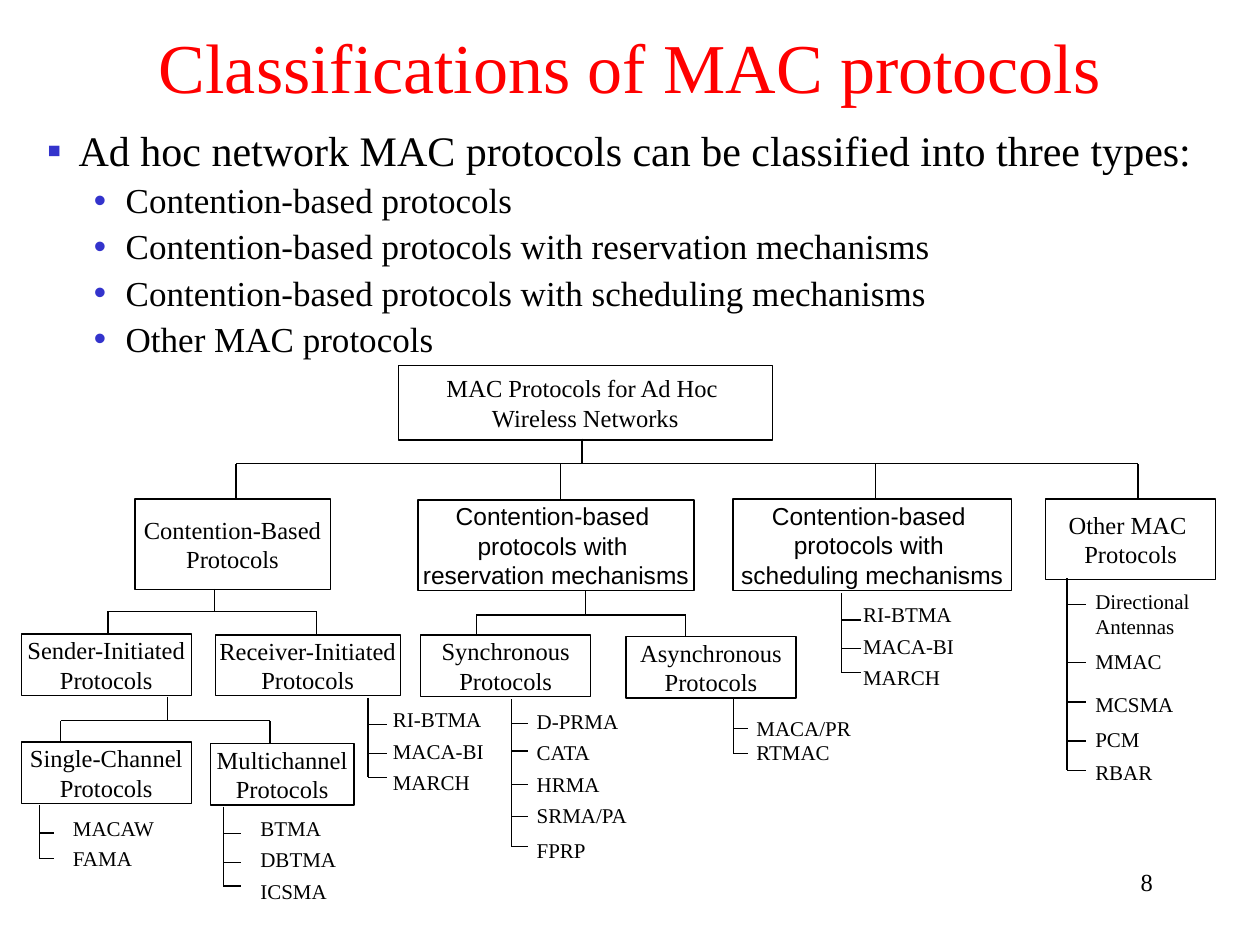
from lxml import etree
from pptx import Presentation
from pptx.dml.color import RGBColor
from pptx.enum import shapes, text
from pptx.oxml import ns
from pptx.util import Cm, Pt

HUES = {"ink": "000000", "title": "FF0000", "mark": "3333CC", "paper": "FFFFFF"}
SERIF, SANS = "Times New Roman", "Arial"
MID = text.PP_ALIGN.CENTER

POINTS = [
    "Contention-based protocols",
    "Contention-based protocols with reservation mechanisms",
    "Contention-based protocols with scheduling mechanisms",
    "Other MAC protocols",
]

BOXES = [
    (8.03, 7.37, 7.54, 1.5, ["MAC Protocols for Ad Hoc ", "Wireless Networks"], SERIF),
    (2.72, 10.06, 3.94, 1.83, ["Contention-Based", "Protocols"], SERIF),
    (8.43, 10.08, 5.56, 1.83,
     ["Contention-based ", "protocols with ", "reservation mechanisms"], SANS),
    (14.78, 10.06, 5.61, 1.85,
     ["Contention-based ", "protocols with ", "scheduling mechanisms"], SANS),
    (21.08, 10.06, 3.43, 1.63, ["Other MAC ", "Protocols"], SERIF),
    (0.43, 12.78, 3.43, 1.24, ["Sender-Initiated", "Protocols"], SERIF),
    (4.34, 12.8, 3.73, 1.22, ["Receiver-Initiated", "Protocols"], SERIF),
    (8.48, 12.8, 3.43, 1.24, ["Synchronous", "Protocols"], SERIF),
    (12.62, 12.83, 3.43, 1.24, ["Asynchronous", "Protocols"], SERIF),
    (0.43, 14.96, 3.43, 1.24, ["Single-Channel", "Protocols"], SERIF),
    (4.24, 14.99, 2.9, 1.24, ["Multichannel", "Protocols"], SERIF),
]

FORKS = [
    (11.73, 8.84, 9.35, [4.76, 11.3, 17.65, 22.94], 10.06),
    (4.32, 11.87, 12.32, [2.18, 6.38], 12.79),
    (11.81, 11.91, 12.4, [9.6, 13.82], 12.83),
    (3.38, 14.05, 14.53, [1.22, 5.44], 14.97),
]

TRIO = [0.54, 1.12, 1.6], [0.05, 0.69, 1.32]
RAKES = [
    (0.79, 16.23, 0.3, 1.22, ["MACAW", "FAMA"], [0.56, 1.07], [0.08, 0.69]),
    (4.5, 16.26, 0.36, 5, ["BTMA", "DBTMA", "ICSMA"], *TRIO),
    (7.42, 14.07, 0.38, 7.67, ["RI-BTMA", "MACA-BI", "MARCH"], *TRIO),
    (16.97, 11.96, 0.38, 17.15, ["RI-BTMA", "MACA-BI", "MARCH"], *TRIO),
    (14.78, 14.1, 0.3, 15, ["MACA/PR", "RTMAC"], [0.58, 1.09], [0.2, 0.68]),
    (10.31, 14.1, 0.33, 10.57, ["D-PRMA", "CATA", "HRMA", "SRMA/PA", "FPRP"],
     [0.48, 1.04, 1.72, 2.36, 2.97], [0.05, 0.68, 1.32, 1.95, 2.66]),
    (21.51, 11.66, 0.39, 21.83,
     ["Directional\nAntennas", "MMAC", "MCSMA", "PCM", "RBAR"],
     [0.53, 1.7, 2.49, 3.28, 3.87], [0.07, 1.29, 2.16, 2.87, 3.53]),
]


def tint(name):
    """Return a named colour."""
    return RGBColor.from_string(HUES[name])


def place(shape, left, top, wide, high):
    """Move and size a shape in centimetres."""
    shape.left, shape.top = Cm(left), Cm(top)
    shape.width, shape.height = Cm(wide), Cm(high)


def write(para, words, size, font=SERIF, hue="ink"):
    """Add words to a paragraph, one run per line."""
    for i, line in enumerate(words.split("\n")):
        if i:
            para.add_line_break()
        run = para.add_run()
        run.text = line
        run.font.size, run.font.name = Pt(size), font
        run.font.color.rgb = tint(hue)


def bullet(para, sign, left):
    """Give a paragraph a coloured bullet, hanging indent and spacing."""
    para.line_spacing, para.space_before = 0.9, Pt(4.8)
    props = para._p.get_or_add_pPr()
    props.set("marL", str(Cm(left)))
    props.set("indent", str(-Cm(0.64)))
    hue = etree.SubElement(props, ns.qn("a:buClr"))
    etree.SubElement(hue, ns.qn("a:srgbClr"), val=HUES["mark"])
    etree.SubElement(props, ns.qn("a:buFont"), typeface=SANS)
    etree.SubElement(props, ns.qn("a:buChar"), char=sign)


def head(slide):
    """Fill the title and the list."""
    title, body = slide.placeholders
    place(title, 0, 0.56, 25.4, 1.52)
    frame = title.text_frame
    frame.auto_size = text.MSO_AUTO_SIZE.NONE
    frame.vertical_anchor = text.MSO_ANCHOR.MIDDLE
    frame.paragraphs[0].alignment = MID
    write(frame.paragraphs[0], "Classifications of MAC protocols", 40, hue="title")
    place(body, 0.69, 2.49, 24.05, 4.98)
    frame = body.text_frame
    frame.auto_size = text.MSO_AUTO_SIZE.NONE
    first = frame.paragraphs[0]
    bullet(first, "▪", 0.64)
    write(first, "Ad hoc network MAC protocols can be classified into three types:", 24)
    for point in POINTS:
        para = frame.add_paragraph()
        para.level = 1
        bullet(para, "•", 1.59)
        write(para, point, 20)


def box(slide, left, top, wide, high, lines, font):
    """Draw an outlined box with centred lines."""
    shape = slide.shapes.add_shape(
        shapes.MSO_SHAPE.RECTANGLE, Cm(left), Cm(top), Cm(wide), Cm(high))
    shape.shadow.inherit = False
    shape.fill.solid()
    shape.fill.fore_color.rgb = tint("paper")
    shape.line.color.rgb, shape.line.width = tint("ink"), Pt(0.75)
    frame = shape.text_frame
    frame.word_wrap = False
    frame.vertical_anchor = text.MSO_ANCHOR.MIDDLE
    for i, line in enumerate(lines):
        para = frame.add_paragraph() if i else frame.paragraphs[0]
        para.alignment = MID
        write(para, line, 14, font)


def rule(slide, x1, y1, x2, y2):
    """Draw a thin straight line."""
    line = slide.shapes.add_connector(
        shapes.MSO_CONNECTOR.STRAIGHT, Cm(x1), Cm(y1), Cm(x2), Cm(y2))
    line.line.color.rgb, line.line.width = tint("ink"), Pt(0.75)
    etree.SubElement(line._element.spPr, ns.qn("a:effectLst"))


def label(slide, left, top, wide, high, words, size, align=text.PP_ALIGN.LEFT):
    """Add a plain text box."""
    shape = slide.shapes.add_textbox(Cm(left), Cm(top), Cm(wide), Cm(high))
    shape.text_frame.word_wrap = True
    para = shape.text_frame.paragraphs[0]
    para.alignment = align
    write(para, words, size)


def fork(slide, stem, top, bar, kids, foot):
    """Join a parent box to its children."""
    rule(slide, stem, top, stem, bar)
    rule(slide, kids[0], bar, kids[-1], bar)
    for kid in kids:
        rule(slide, kid, bar, kid, foot)


def rake(slide, left, top, tick, edge, names, ticks, tops):
    """Hang a column of named protocols below a box."""
    rule(slide, left, top, left, top + ticks[-1])
    for name, mark, drop in zip(names, ticks, tops):
        rule(slide, left, top + mark, left + tick, top + mark)
        high = 1.27 if "\n" in name else 0.76
        label(slide, edge, top + drop, 2.44, high, name, 12)


def main():
    """Build and save the slide."""
    deck = Presentation()
    deck.slide_width, deck.slide_height = Cm(25.4), Cm(19.05)
    slide = deck.slides.add_slide(deck.slide_layouts[1])
    head(slide)
    for draw, rows in ((box, BOXES), (fork, FORKS), (rake, RAKES)):
        for row in rows:
            draw(slide, *row)
    label(slide, 18.21, 17.35, 5.28, 1.27, "8", 14, text.PP_ALIGN.RIGHT)
    deck.save("out.pptx")


if __name__ == "__main__":
    main()
